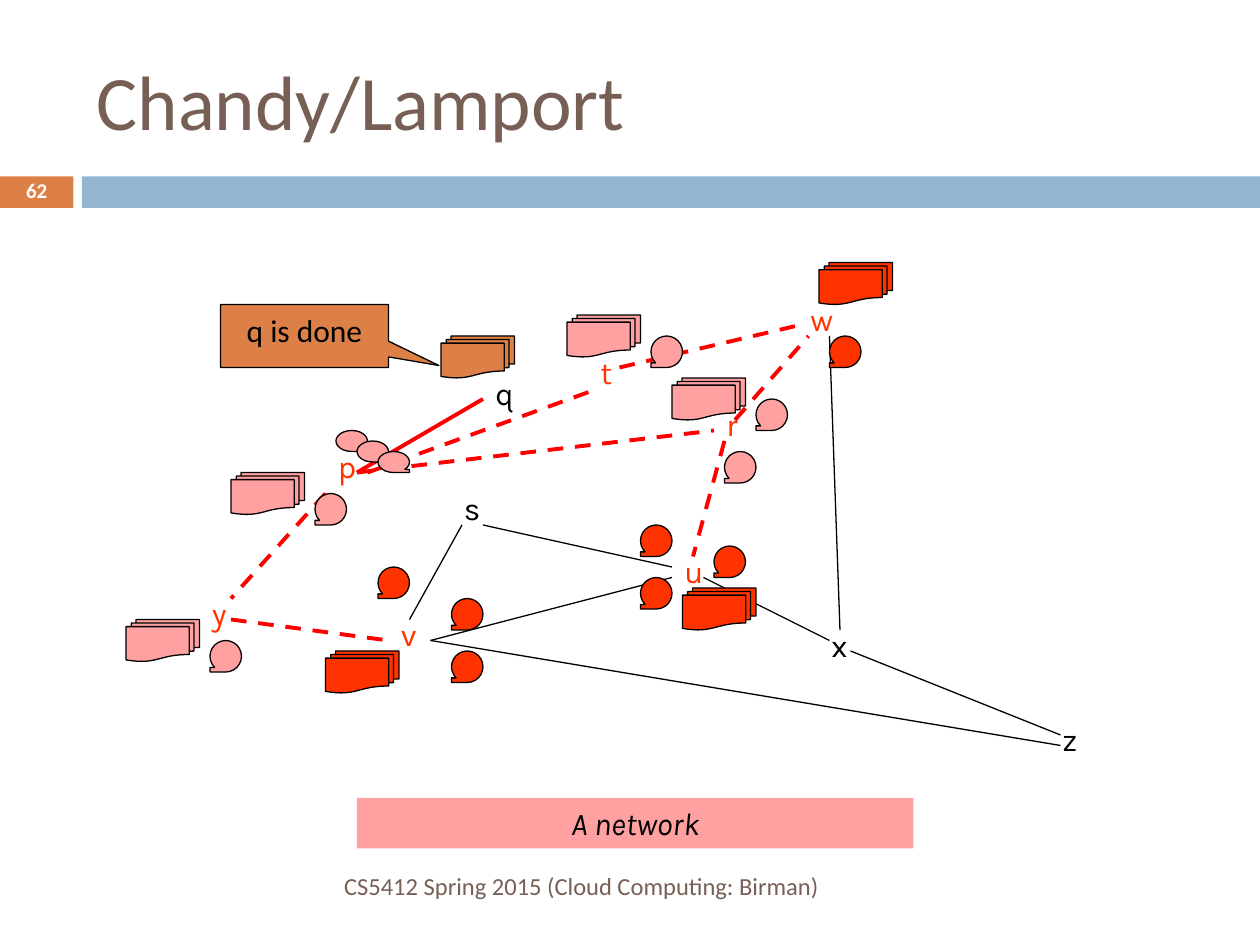
from lxml.etree import SubElement
from pptx import Presentation
from pptx.dml.color import RGBColor
from pptx.enum.dml import MSO_LINE
from pptx.enum.shapes import MSO_CONNECTOR, MSO_SHAPE
from pptx.enum.text import MSO_ANCHOR, MSO_AUTO_SIZE, PP_ALIGN
from pptx.oxml.ns import qn
from pptx.util import Cm, Pt

RED, PINK, ORANGE = "FF3300", "FFA1A1", "DD8047"
BLACK, WHITE, BROWN, BLUE, EDGE_RED = "000000", "FFFFFF", "775F55", "94B6D2", "FF0000"

REACHED_NODES = {"p": (31, 42), "r": (68, 38), "t": (56, 33), "u": (64, 52),
                 "v": (37, 58), "w": (76, 28), "y": (19, 56)}
OTHER_NODES = {"q": (46, 35), "s": (43, 46), "x": (78, 59), "z": (100, 68)}

MARKER_EDGES = [(31, 47, 22, 57), (22, 59, 37, 61), (34, 45, 68, 41), (35, 45, 57, 37),
                (70, 40, 77, 32), (69, 42, 66, 53), (59, 35, 76, 31)]
DONE_EDGES = [(34, 45, 46, 38)]
PLAIN_EDGES = [(44, 50, 39, 59), (41, 61, 101, 71), (41, 61, 64, 55), (79, 32, 80, 60),
               (67, 55, 79, 61), (46, 50, 64, 54), (81, 62, 101, 70)]

DOCUMENTS = {PINK: [(22, 45), (12, 59), (54, 30), (64, 36)],
             ORANGE: [(42, 32)],
             RED: [(31, 62), (78, 25), (65, 56)]}
QUEUED_TAPES = [(32, 41), (34, 42), (36, 43)]
TAPES = {PINK: [(30, 47), (20, 61), (62, 32), (72, 38), (69, 43)],
         RED: [(43, 57), (43, 62), (36, 54), (68, 52), (61, 55), (61, 50), (79, 32)]}


def grid(*steps):
    """Turn steps of a twelfth of an inch into lengths."""
    return [Cm(step * 2.54 / 12) for step in steps]


def colour(hex_code):
    """Turn a hex string into a colour."""
    return RGBColor.from_string(hex_code)


def write(box, text, size, ink, font="Calibri", align=PP_ALIGN.LEFT,
          anchor=MSO_ANCHOR.TOP, bold=False, italic=False):
    """Put one formatted paragraph into a shape."""
    frame = box.text_frame
    frame.text = text
    frame.word_wrap = True
    frame.auto_size = MSO_AUTO_SIZE.NONE
    frame.vertical_anchor = anchor
    para = frame.paragraphs[0]
    para.alignment = align
    span = para.runs[0].font
    span.name, span.size, span.bold, span.italic = font, Pt(size), bold, italic
    span.color.rgb = colour(ink)
    return para


def add_text(page, place, text, size, ink, **style):
    """Add a text box with one paragraph."""
    return write(page.shapes.add_textbox(*grid(*place)), text, size, ink, **style)


def add_figure(page, kind, place, fill, outlined=True, flipped=False):
    """Add a filled preset shape."""
    figure = page.shapes.add_shape(kind, *grid(*place))
    figure.shadow.inherit = False
    figure.fill.solid()
    figure.fill.fore_color.rgb = colour(fill)
    if outlined:
        figure.line.color.rgb = colour(BLACK)
        figure.line.width = Pt(0.75)
    else:
        figure.line.fill.background()
    if flipped:
        figure.element.spPr.find(qn("a:xfrm")).set("flipH", "1")
    return figure


def add_edges(page, edges, ink, width, dash=None):
    """Draw straight edges in one style."""
    for ends in edges:
        edge = page.shapes.add_connector(MSO_CONNECTOR.STRAIGHT, *grid(*ends))
        edge.line.color.rgb = colour(ink)
        edge.line.width = Pt(width)
        if dash:
            edge.line.dash_style = dash
        SubElement(edge.element.spPr, qn("a:effectLst"))


def add_network(page):
    """Draw the nodes and the edges between them."""
    for nodes, ink in ((REACHED_NODES, RED), (OTHER_NODES, BLACK)):
        for name, corner in nodes.items():
            add_text(page, (*corner, 5, 4.8), name, 18, ink, font="Karla")
    add_edges(page, MARKER_EDGES, EDGE_RED, 2.25, MSO_LINE.DASH)
    add_edges(page, DONE_EDGES, EDGE_RED, 2.25)
    add_edges(page, PLAIN_EDGES, BLACK, 0.75)


def add_state(page):
    """Draw the recorded documents and message tapes."""
    for fill, corners in DOCUMENTS.items():
        for corner in corners:
            add_figure(page, MSO_SHAPE.FLOWCHART_MULTIDOCUMENT, (*corner, 7, 4), fill)
    tape = MSO_SHAPE.FLOWCHART_SEQUENTIAL_ACCESS_STORAGE
    for corner in QUEUED_TAPES:
        add_figure(page, tape, (*corner, 3, 2), PINK)
    for fill, corners in TAPES.items():
        for corner in corners:
            add_figure(page, tape, (*corner, 3, 3), fill, flipped=True)


def main():
    """Build the slide and save it."""
    deck = Presentation()
    deck.slide_width, deck.slide_height = grid(120, 90)
    page = deck.slides.add_slide(deck.slide_layouts[5])

    add_figure(page, MSO_SHAPE.RECTANGLE, (0, 16.8, 7, 3), ORANGE, outlined=False)
    add_figure(page, MSO_SHAPE.RECTANGLE, (7.8, 16.8, 112.2, 3), BLUE, outlined=False)
    title = page.shapes.title
    title.left, title.top, title.width, title.height = grid(8, 3, 107, 13)
    write(title, "Chandy/Lamport", 44, BROWN, anchor=MSO_ANCHOR.MIDDLE)

    add_network(page)
    caption = add_figure(page, MSO_SHAPE.RECTANGLE, (34, 76, 53, 4.8), PINK, outlined=False)
    write(caption, "A network", 18, BLACK, font="Karla", align=PP_ALIGN.CENTER, italic=True)
    add_state(page)

    callout = add_figure(page, MSO_SHAPE.RECTANGULAR_CALLOUT, (21, 29, 16, 6), ORANGE)
    callout.adjustments[0], callout.adjustments[1] = 0.8, 0.47
    write(callout, "q is done", 18, BLACK, align=PP_ALIGN.CENTER)

    add_text(page, (8, 82, 71.2, 4.8), "CS5412 Spring 2015 (Cloud Computing: Birman)",
             14, BROWN, align=PP_ALIGN.RIGHT, anchor=MSO_ANCHOR.MIDDLE)
    number = add_text(page, (0, 16.7, 7, 3.2), "62", 12, WHITE, align=PP_ALIGN.CENTER,
                      anchor=MSO_ANCHOR.MIDDLE, bold=True)
    number.line_spacing = 0.8
    deck.save("out.pptx")


if __name__ == "__main__":
    main()
